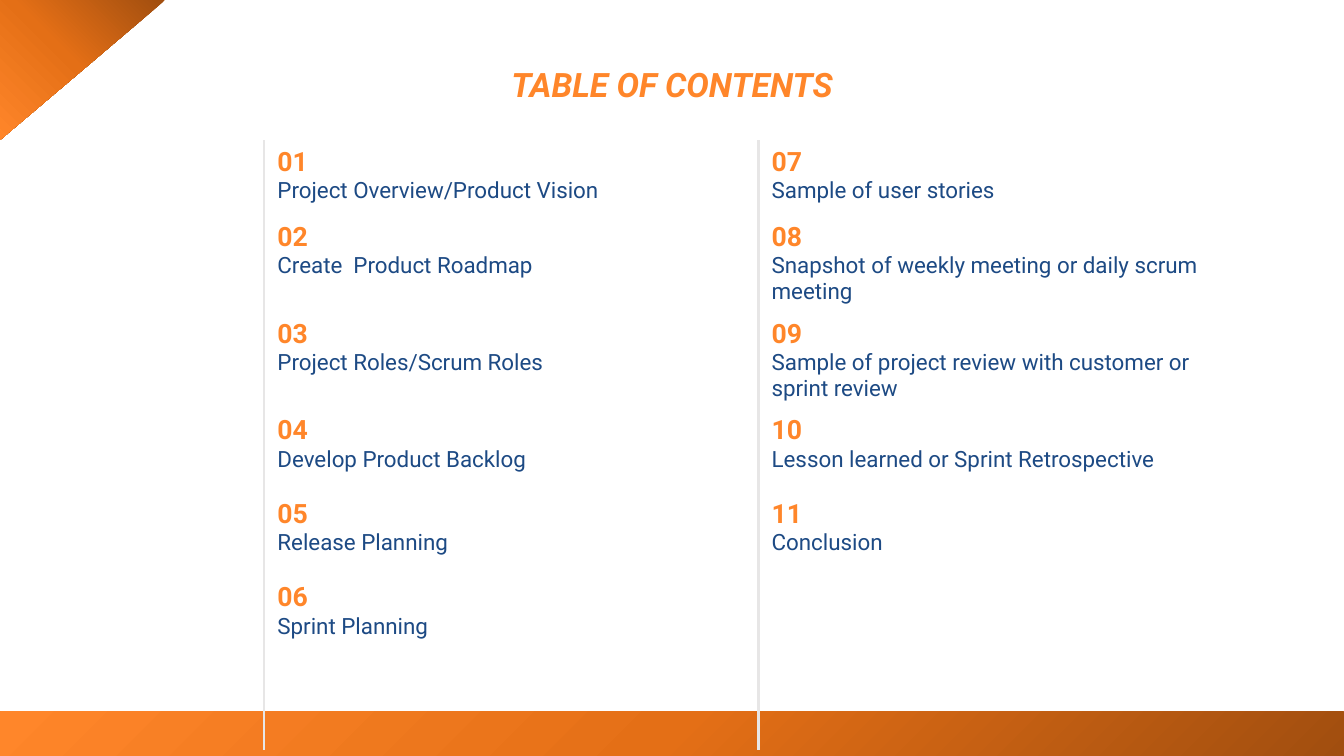
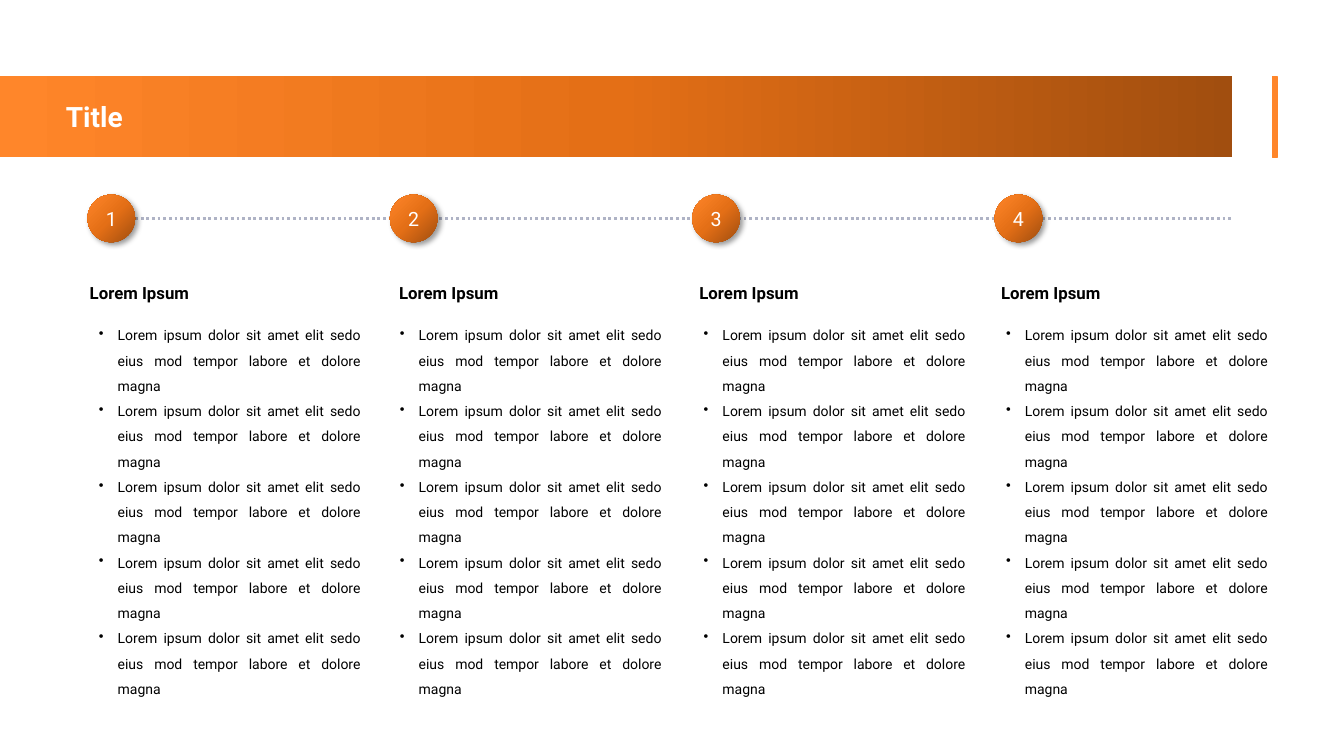
from dataclasses import dataclass
from typing import Any, Optional

import lxml.etree
import pptx
import pptx.dml.color
import pptx.enum.dml
import pptx.enum.shapes
import pptx.enum.text
import pptx.oxml
import pptx.oxml.ns
import pptx.util

Pt = pptx.util.Pt
qn = pptx.oxml.ns.qn
Align = pptx.enum.text.PP_ALIGN
Anchor = pptx.enum.text.MSO_ANCHOR
Form = pptx.enum.shapes.MSO_SHAPE

FONT = "Roboto"
HEX = {
    "orange": "FF862A",
    "mid": "E46F16",
    "brown": "A14E0F",
    "navy": "1D4A84",
    "rule": "E7E6E6",
    "dots": "AFB3C5",
    "white": "FFFFFF",
    "black": "000000",
}
RAMP = ((0, "brown"), (50, "mid"), (100, "orange"))
NO_GRID = "{2D5ABB26-0587-4C30-8999-92F81FD0307C}"
LOREM = "Lorem ipsum dolor sit amet elit sedo eius mod tempor labore et dolore magna"


@dataclass(frozen=True)
class Style:
    size: float
    color: str
    bold: bool = False
    slant: bool = False
    align: Optional[Align] = None
    lead: Optional[float] = None
    bullet: bool = False


@dataclass(frozen=True)
class Box:
    left: float
    top: float
    width: float
    height: float

    def emu(self) -> tuple:
        return Pt(self.left), Pt(self.top), Pt(self.width), Pt(self.height)


@dataclass(frozen=True)
class Step:
    label: str
    head: float
    body: float


TITLE = Style(24, "orange", True, True, Align.CENTER, 0.9)
BANNER = Style(20, "white", True)
NUMBER = Style(19, "orange", True)
TOPIC = Style(16, "navy")
HEAD = Style(12, "black", True, lead=1.5)
BODY = Style(10, "black", align=Align.JUSTIFY, lead=1.5, bullet=True)
BADGE = Style(14, "white", align=Align.CENTER)

TOPICS = (
    "Project Overview/Product Vision",
    "Create  Product Roadmap",
    "Project Roles/Scrum Roles",
    "Develop Product Backlog",
    "Release Planning",
    "Sprint Planning",
    "Sample of user stories",
    "Snapshot of weekly meeting or daily scrum meeting",
    "Sample of project review with customer or sprint review",
    "Lesson learned or Sprint Retrospective",
    "Conclusion",
)
SPLIT = 6
ROWS = (53.5, 69, 69, 244)
STEPS = (
    Step("1", 57, 63.5),
    Step("2", 278, 278.5),
    Step("3", 492.5, 495.5),
    Step("4", 708, 711.5),
)


def rgb(name: str) -> pptx.dml.color.RGBColor:
    return pptx.dml.color.RGBColor.from_string(HEX[name])


def xml(text: str) -> Any:
    space = pptx.oxml.ns.nsdecls("a")
    return pptx.oxml.parse_xml(text.replace(" ", f" {space} ", 1))


def ramp(shape: Any, angle: float) -> None:
    shape.shadow.inherit = False
    shape.line.fill.background()
    shape.fill.gradient()
    shape.fill.gradient_angle = angle
    stops = shape.element.spPr.find(".//" + qn("a:gsLst"))
    for stop in list(stops):
        stops.remove(stop)
    for place, name in RAMP:
        stops.append(xml(f'<a:gs pos="{place * 1000}">'
                         f'<a:srgbClr val="{HEX[name]}"/></a:gs>'))


def block(slide: Any, form: Form, box: Box, angle: float) -> Any:
    shape = slide.shapes.add_shape(form, *box.emu())
    ramp(shape, angle)
    return shape


def para(item: Any, text: str, style: Style) -> None:
    item.text = text
    item.alignment = style.align
    item.line_spacing = style.lead
    if style.bullet:
        props = item._p.get_or_add_pPr()
        props.set("marL", str(Pt(13.5)))
        props.set("indent", str(-Pt(13.5)))
        props.append(xml('<a:buChar char="•"/>'))
    for run in item.runs:
        font = run.font
        font.name, font.size = FONT, Pt(style.size)
        font.bold, font.italic = style.bold, style.slant
        font.color.rgb = rgb(style.color)


def write(frame: Any, lines: tuple, style: Style) -> None:
    frame.word_wrap = True
    frame.text = "\n".join(lines)
    for item, line in zip(frame.paragraphs, lines):
        para(item, line, style)


def label(slide: Any, box: Box, lines: tuple, style: Style) -> Any:
    frame = slide.shapes.add_textbox(*box.emu()).text_frame
    write(frame, lines, style)
    return frame


def edge(cell: Any) -> None:
    props = cell._tc.get_or_add_tcPr()
    sides = [xml(f'<a:{side} w="0"><a:noFill/></a:{side}>')
             for side in ("lnR", "lnT", "lnB")]
    left = xml(f'<a:lnL w="{Pt(2.25)}"><a:solidFill>'
               f'<a:srgbClr val="{HEX["rule"]}"/></a:solidFill></a:lnL>')
    for spot, line in enumerate([left, *sides]):
        props.insert(spot, line)


def entry(cell: Any, first: int, topics: tuple) -> None:
    cell.margin_left = cell.margin_right = Pt(9.6)
    cell.margin_top = cell.margin_bottom = Pt(4.8)
    cell.fill.background()
    edge(cell)
    frame = cell.text_frame
    for count, topic in enumerate(topics):
        item = frame.add_paragraph() if count else frame.paragraphs[0]
        para(item, f"{first + count:02}", NUMBER)
        if count:
            item.space_before = Pt(18.75)
        para(frame.add_paragraph(), topic, TOPIC)


def agenda(slide: Any) -> None:
    block(slide, Form.RECTANGLE, Box(0, 508.5, 960, 31.5), 135)
    box = Box(188.6, 100, 706, sum(ROWS))
    table = slide.shapes.add_table(len(ROWS), 2, *box.emu()).table
    table.first_row = table.horz_banding = False
    table._tbl.tblPr.find(qn("a:tableStyleId")).text = NO_GRID
    for row, height in zip(table.rows, ROWS):
        row.height = Pt(height)
    last = len(ROWS) - 1
    for col, (start, stop) in enumerate(((0, SPLIT), (SPLIT, len(TOPICS)))):
        table.columns[col].width = Pt(box.width / 2)
        for row in range(len(ROWS)):
            first = start + row
            end = stop if row == last else first + 1
            entry(table.cell(row, col), first + 1, TOPICS[first:end])
    frame = label(slide, Box(299, 36.5, 362, 51), ("TABLE OF CONTENTS",), TITLE)
    frame.vertical_anchor = Anchor.MIDDLE
    path = slide.shapes.build_freeform(0, Pt(100))
    path.add_line_segments([(Pt(118), 0), (0, 0)], close=True)
    ramp(path.convert_to_shape(), 225)


def badge(slide: Any, text: str, left: float, top: float, size: float) -> None:
    disc = block(slide, Form.OVAL, Box(left, top, size, size), 135)
    glow = disc.element.spPr.find(qn("a:effectLst"))
    glow.append(xml(f'<a:outerShdw blurRad="{Pt(4)}" dist="{Pt(3)}" dir="2700000" '
                    'algn="tl" rotWithShape="0"><a:srgbClr val="000000">'
                    '<a:alpha val="40000"/></a:srgbClr></a:outerShdw>'))
    frame = disc.text_frame
    write(frame, (text,), BADGE)
    frame.vertical_anchor = Anchor.MIDDLE


def track(slide: Any, left: float, right: float, top: float) -> None:
    kind = pptx.enum.shapes.MSO_CONNECTOR.STRAIGHT
    line = slide.shapes.add_connector(kind, Pt(left), Pt(top), Pt(right), Pt(top))
    line.line.color.rgb = rgb("dots")
    line.line.width = Pt(2)
    line.line.dash_style = pptx.enum.dml.MSO_LINE.ROUND_DOT
    lxml.etree.SubElement(line.element.spPr, qn("a:effectLst"))


def stages(slide: Any) -> None:
    block(slide, Form.RECTANGLE, Box(0, 54.5, 880, 58), 180)
    bar = slide.shapes.add_shape(Form.RECTANGLE, *Box(908.8, 54.8, 3.4, 57.6).emu())
    bar.shadow.inherit = False
    bar.fill.solid()
    bar.fill.fore_color.rgb = bar.line.color.rgb = rgb("orange")
    bar.line.width = Pt(1)
    frame = label(slide, Box(40, 67.7, 800, 31.5), ("Title",), BANNER)
    frame.auto_size = pptx.enum.text.MSO_AUTO_SIZE.SHAPE_TO_FIT_TEXT
    left, top, size, pitch = 62.5, 139, 34, 216
    track(slide, left + size, 880, top + size / 2)
    for spot, step in enumerate(STEPS):
        badge(slide, step.label, left + spot * pitch, top, size)
        label(slide, Box(step.head, 191.5, 182, 26.5), ("Lorem Ipsum",), HEAD)
        label(slide, Box(step.body, 224, 201, 279.5), (LOREM,) * 5, BODY)


def main() -> None:
    deck = pptx.Presentation()
    deck.slide_width, deck.slide_height = Pt(960), Pt(540)
    for draw in (agenda, stages):
        draw(deck.slides.add_slide(deck.slide_layouts[6]))
    deck.save("out.pptx")


if __name__ == "__main__":
    main()
